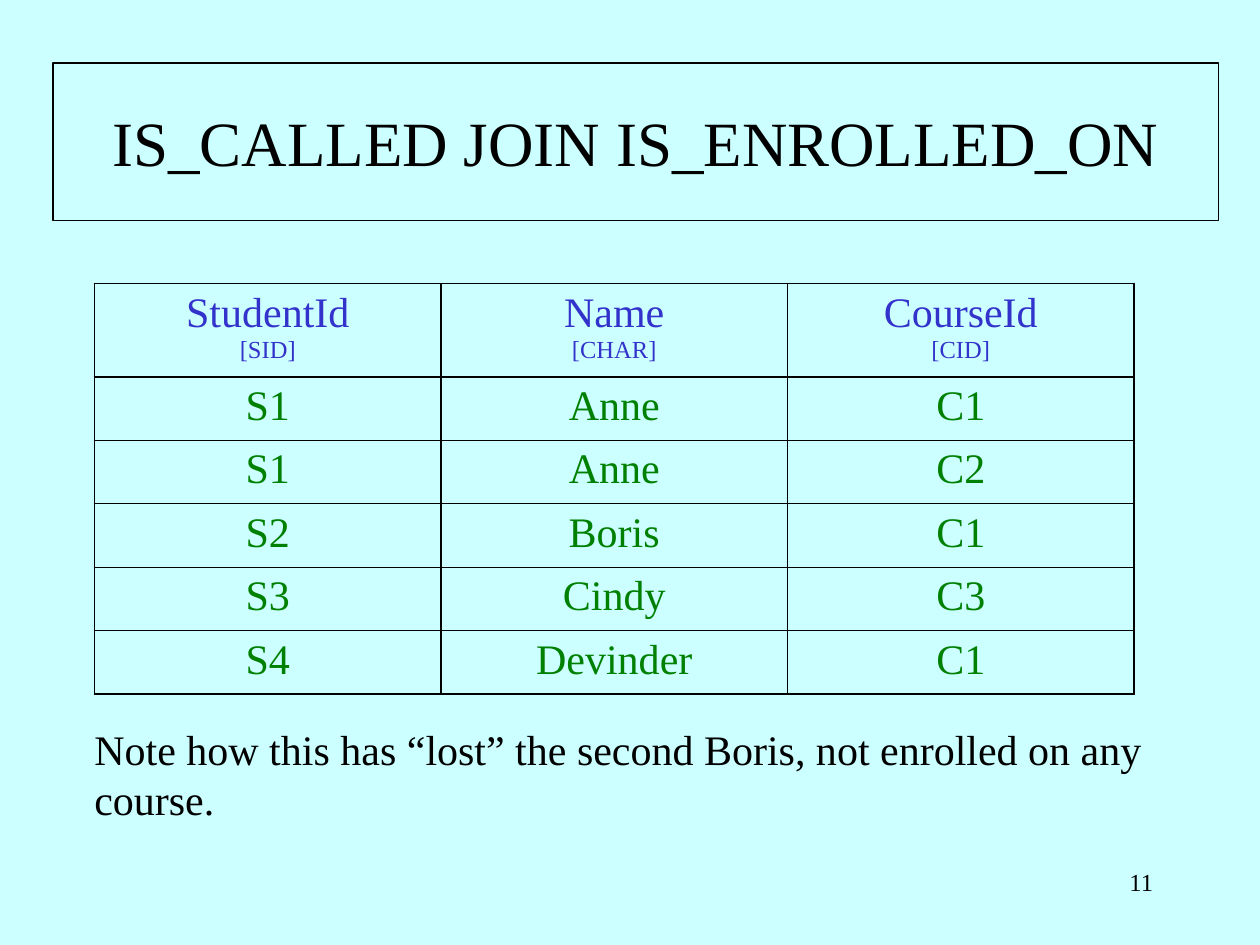
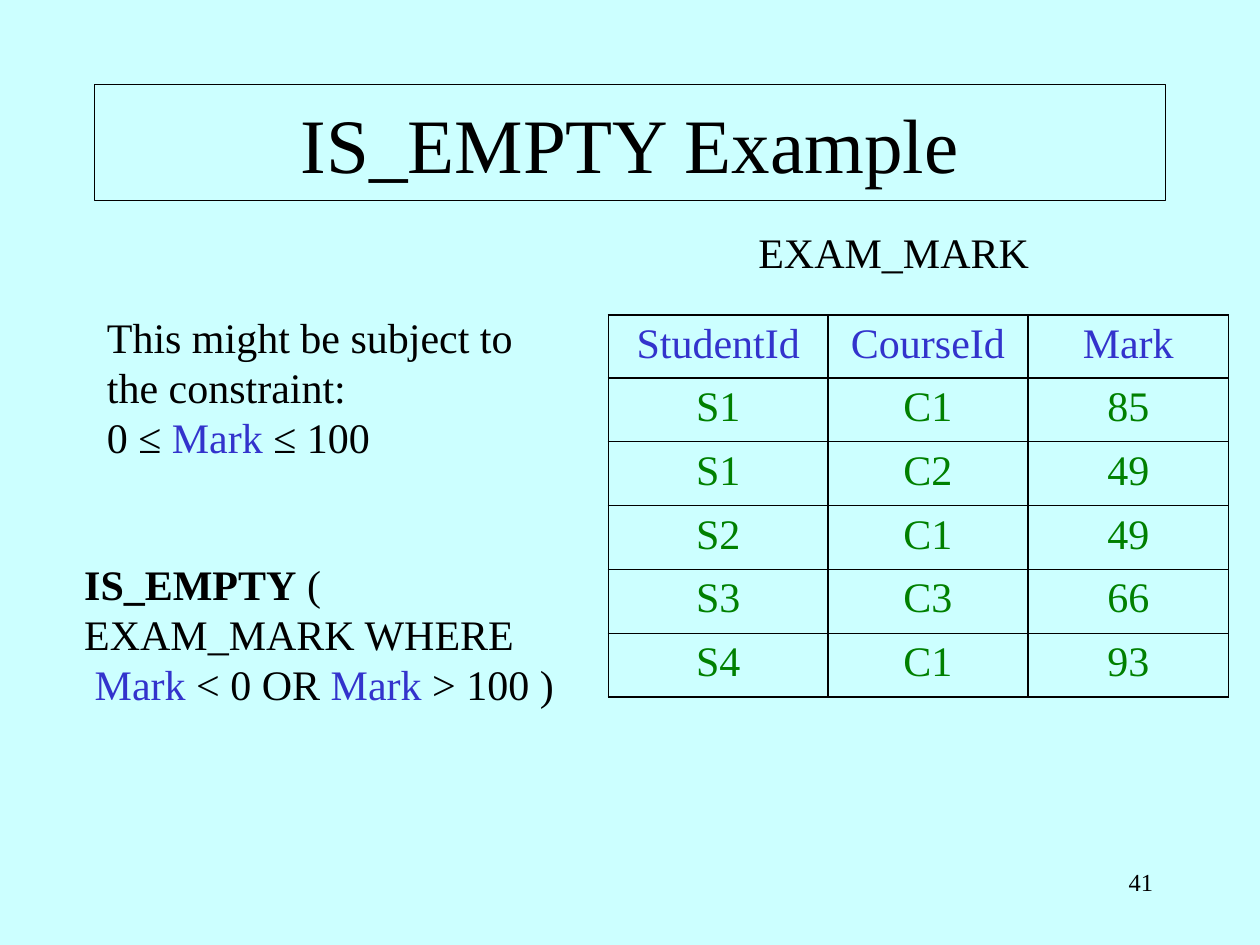
from dataclasses import dataclass
from typing import Any, NamedTuple

from lxml.etree import SubElement as Sub
from pptx import Presentation
from pptx.dml.color import RGBColor as Rgb
from pptx.enum.text import MSO_ANCHOR as Anchor
from pptx.enum.text import MSO_AUTO_SIZE as Fit
from pptx.enum.text import PP_ALIGN as Align
from pptx.oxml.ns import qn
from pptx.util import Inches, Pt


@dataclass(frozen=True)
class Theme:
    face: str = "Times New Roman"
    back: str = "CCFFFF"
    ink: str = "000000"
    head: str = "3333CC"
    data: str = "008000"
    body: float = 24
    small: float = 14
    rule: float = 0.75
    thick: float = 1.08
    thin: float = 0.45


LOOK = Theme()


class Box(NamedTuple):
    left: float
    top: float
    width: float
    height: float


class Span(NamedTuple):
    text: str
    ink: str = LOOK.ink
    size: float = LOOK.body
    bold: bool = False


Line = list[Span]
BREAK = Span("\n")
MARK = Span("Mark", LOOK.head)


@dataclass(frozen=True)
class Title:
    text: str
    box: Box
    size: float


@dataclass(frozen=True)
class Note:
    box: Box
    lines: list[Line]
    wrap: bool = True
    grow: bool = True
    align: Align = Align.LEFT


@dataclass(frozen=True)
class Grid:
    box: Box
    cols: list[float]
    top: float
    lead: float
    head: list[Line]
    rows: list[str]


@dataclass(frozen=True)
class Page:
    title: Title
    grid: Grid
    notes: list[Note]
    number: str


def put(item: Any, form: dict[str, Any]) -> None:
    for key, value in form.items():
        setattr(item, key, value)


def place(box: Box) -> dict[str, Any]:
    return {key: Inches(value) for key, value in box._asdict().items()}


def write(frame: Any, lines: list[Line], form: dict[str, Any]) -> None:
    for spot, line in enumerate(lines):
        para = frame.add_paragraph() if spot else frame.paragraphs[0]
        put(para, form)
        for span in line:
            if span == BREAK:
                para.add_line_break()
                continue
            run = para.add_run()
            run.text = span.text
            put(run.font, {"name": LOOK.face, "size": Pt(span.size), "bold": span.bold})
            run.font.color.rgb = Rgb.from_string(span.ink)


def draw_title(slide: Any, title: Title) -> None:
    shape = slide.shapes.title
    put(shape, place(title.box))
    shape.line.color.rgb = Rgb.from_string(LOOK.ink)
    shape.line.width = Pt(LOOK.rule)
    put(shape.text_frame, {"vertical_anchor": Anchor.MIDDLE, "auto_size": Fit.NONE, "word_wrap": True})
    write(shape.text_frame, [[Span(title.text, size=title.size)]], {"alignment": Align.CENTER})


def draw_note(slide: Any, note: Note) -> None:
    frame = slide.shapes.add_textbox(**place(note.box)).text_frame
    size = Fit.SHAPE_TO_FIT_TEXT if note.grow else Fit.NONE
    put(frame, {"word_wrap": note.wrap, "auto_size": size})
    write(frame, note.lines, {"alignment": note.align})


def edge(cell: Any, above: float, below: float) -> None:
    props = cell._tc.get_or_add_tcPr()
    sides = {"L": LOOK.thick, "R": LOOK.thick, "T": above, "B": below}
    for side, width in sides.items():
        line = Sub(props, qn(f"a:ln{side}"), w=str(Pt(width)))
        fill = Sub(line, qn("a:solidFill"))
        Sub(fill, qn("a:srgbClr"), val=LOOK.ink)


def draw_grid(slide: Any, grid: Grid) -> None:
    body = [[[Span(word, LOOK.data)] for word in row.split()] for row in grid.rows]
    cells = [grid.head, *body]
    last = len(body)
    table = slide.shapes.add_table(len(cells), len(grid.cols), **place(grid.box)).table
    put(table, {"first_row": False, "horz_banding": False})
    for col, width in zip(table.columns, grid.cols):
        col.width = Inches(width)
    for row, items in enumerate(cells):
        high = (grid.box.height - grid.top) / last if row else grid.top
        table.rows[row].height = Inches(high)
        above = LOOK.thick if row < 2 else LOOK.thin
        below = LOOK.thick if row in (0, last) else LOOK.thin
        lead = Pt(6 if row else grid.lead)
        for col, line in enumerate(items):
            cell = table.cell(row, col)
            put(cell, {"margin_left": Inches(0.1), "margin_right": Inches(0.1)})
            edge(cell, above, below)
            cell.fill.background()
            write(cell.text_frame, [line], {"alignment": Align.CENTER, "space_before": lead})


def draw_page(deck: Any, page: Page) -> None:
    slide = deck.slides.add_slide(deck.slide_layouts[5])
    draw_title(slide, page.title)
    draw_grid(slide, page.grid)
    foot = Note(
        Box(7.17, 6.83, 2.08, 0.5),
        [[Span(page.number, size=LOOK.small)]],
        grow=False,
        align=Align.RIGHT,
    )
    for note in [*page.notes, foot]:
        draw_note(slide, note)


def typed(name: str, kind: str) -> Line:
    return [Span(name, LOOK.head), BREAK, Span(f"[{kind}]", LOOK.head, LOOK.small)]


JOIN = Page(
    Title("IS_CALLED JOIN IS_ENROLLED_ON", Box(0.42, 0.5, 9.25, 1.25), 36),
    Grid(
        Box(0.75, 2.25, 8.25, 3.26),
        [2.75] * 3,
        0.74,
        3.5,
        [typed("StudentId", "SID"), typed("Name", "CHAR"), typed("CourseId", "CID")],
        ["S1 Anne C1", "S1 Anne C2", "S2 Boris C1", "S3 Cindy C3", "S4 Devinder C1"],
    ),
    [
        Note(
            Box(0.65, 5.69, 8.93, 0.9),
            [[Span("Note how this has “lost” the second Boris, not enrolled on any course.")]],
        )
    ],
    "11",
)

EMPTY = Page(
    Title("IS_EMPTY Example", Box(0.75, 0.67, 8.5, 0.92), 44),
    Grid(
        Box(4.83, 2.5, 4.92, 3.03),
        [1.74, 1.59, 1.59],
        0.5,
        6,
        [[Span(name, LOOK.head)] for name in ("StudentId", "CourseId", "Mark")],
        ["S1 C1 85", "S1 C2 49", "S2 C1 49", "S3 C3 66", "S4 C1 93"],
    ),
    [
        Note(Box(5.92, 1.75, 2.35, 0.5), [[Span("EXAM_MARK")]], wrap=False),
        Note(
            Box(0.75, 2.42, 3.42, 1.3),
            [
                [Span("This might be subject to the constraint:")],
                [Span("0 ≤ "), MARK, Span(" ≤ 100")],
            ],
        ),
        Note(
            Box(0.57, 4.38, 3.93, 1.3),
            [
                [Span("IS_EMPTY", bold=True), Span(" (")],
                [
                    Span("EXAM_MARK WHERE"), BREAK, Span(" "), MARK,
                    Span(" < 0 OR "), MARK, Span(" > 100 )"),
                ],
            ],
            wrap=False,
        ),
    ],
    "41",
)


def main() -> None:
    deck = Presentation()
    put(deck, {"slide_width": Inches(10), "slide_height": Inches(7.5)})
    fill = deck.slide_master.background.fill
    fill.solid()
    fill.fore_color.rgb = Rgb.from_string(LOOK.back)
    for page in (JOIN, EMPTY):
        draw_page(deck, page)
    deck.save("out.pptx")


if __name__ == "__main__":
    main()
